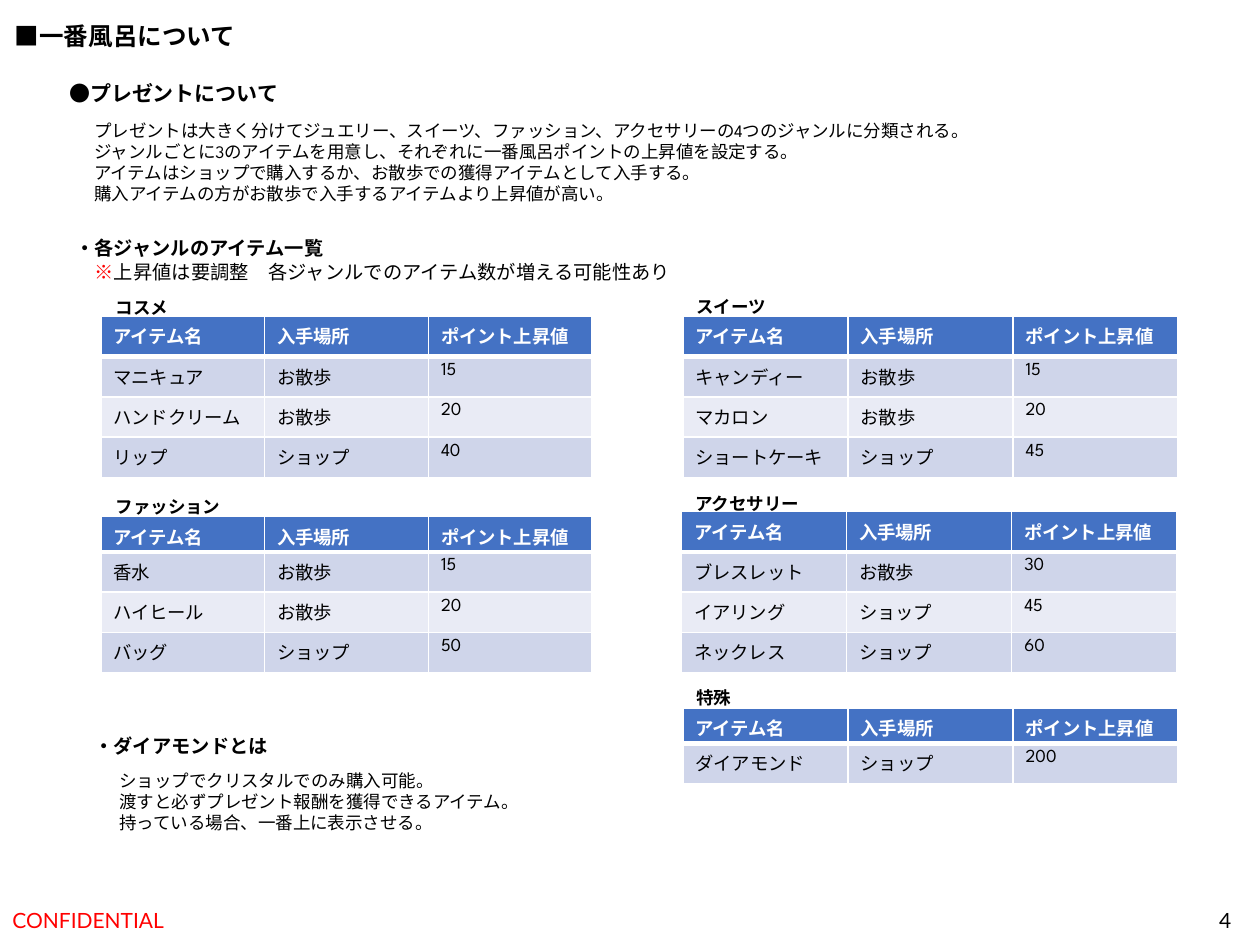
from lxml import etree
from pptx import Presentation
from pptx.dml.color import RGBColor
from pptx.enum.text import MSO_ANCHOR, MSO_AUTO_SIZE, PP_ALIGN
from pptx.oxml.ns import qn
from pptx.util import Inches, Pt

MIDDLE = MSO_ANCHOR.MIDDLE
GROW = MSO_AUTO_SIZE.SHAPE_TO_FIT_TEXT
FIXED = MSO_AUTO_SIZE.NONE
RIGHT = PP_ALIGN.RIGHT

FONT = "League Spartan"
BLACK, WHITE, RED = "000000", "FFFFFF", "FF0000"
HEAD, BANDS = "4472C4", ("CFD5EA", "E9EBF5")
ROW = 0.32
TITLES = ("アイテム名", "入手場所", "ポイント上昇値")
WALK, SHOP = "お散歩", "ショップ"

LISTS = [
    ("コスメ", (0.82, 2.31), (0.8, 2.51), 1.3, ROW,
     [("マニキュア", WALK, 15), ("ハンドクリーム", WALK, 20), ("リップ", SHOP, 40)]),
    ("ファッション", (0.82, 3.89), (0.8, 4.1), 1.3, 0.28,
     [("香水", WALK, 15), ("ハイヒール", WALK, 20), ("バッグ", SHOP, 50)]),
    ("スイーツ", (5.43, 2.3), (5.42, 2.51), 1.31, ROW,
     [("キャンディー", WALK, 15), ("マカロン", WALK, 20), ("ショートケーキ", SHOP, 45)]),
    ("アクセサリー", (5.42, 3.86), (5.41, 4.06), 1.31, ROW,
     [("ブレスレット", WALK, 30), ("イアリング", SHOP, 45), ("ネックレス", SHOP, 60)]),
    ("特殊", (5.43, 5.4), (5.42, 5.62), 1.31, 0.28,
     [("ダイアモンド", SHOP, 200)]),
]

ABOUT = [
    "プレゼントは大きく分けてジュエリー、スイーツ、ファッション、アクセサリーの4つのジャンルに分類される。",
    "ジャンルごとに3のアイテムを用意し、それぞれに一番風呂ポイントの上昇値を設定する。",
    "アイテムはショップで購入するか、お散歩での獲得アイテムとして入手する。",
    "購入アイテムの方がお散歩で入手するアイテムより上昇値が高い。",
]
DIAMOND = [
    "ショップでクリスタルでのみ購入可能。",
    "渡すと必ずプレゼント報酬を獲得できるアイテム。",
    "持っている場合、一番上に表示させる。",
]
NOTE = [("\u3000", BLACK), ("※", RED),
        ("上昇値は要調整　各ジャンルでのアイテム数が増える可能性あり", BLACK)]
NOTE[0] = ("　", BLACK)


def rgb(code):
    """Turn a hex string into a colour."""
    return RGBColor.from_string(code)


def style(run, size, color=BLACK, bold=False, face=FONT):
    """Format one run."""
    font = run.font
    font.name, font.size, font.bold = face, Pt(size), bold
    font.color.rgb = rgb(color)


def add_text(slide, box, lines, size, color=BLACK, bold=False, face=FONT, wrap=True, fit=GROW):
    """Add a text box with one paragraph per line and return its frame."""
    frame = slide.shapes.add_textbox(*map(Inches, box)).text_frame
    frame.text = "\n".join(lines)
    frame.word_wrap, frame.auto_size = wrap, fit
    for para in frame.paragraphs:
        for run in para.runs:
            style(run, size, color, bold, face)
    return frame


def add_note(frame, parts, size):
    """Append a paragraph of coloured runs."""
    para = frame.add_paragraph()
    for text, color in parts:
        run = para.add_run()
        run.text = text
        style(run, size, color)


def add_edges(cell, base):
    """Draw white cell borders, with the given bottom width."""
    props = cell._tc.get_or_add_tcPr()
    for spot, (side, width) in enumerate((("L", 1), ("R", 1), ("T", 1), ("B", base))):
        line = etree.Element(qn(f"a:ln{side}"), w=str(Pt(width)))
        fill = etree.SubElement(line, qn("a:solidFill"))
        etree.SubElement(fill, qn("a:srgbClr"), val=WHITE)
        props.insert(spot, line)


def add_table(slide, left, top, width, head, items):
    """Add an item table with a header and banded rows."""
    rows = [TITLES, *items]
    high = head + ROW * len(items)
    table = slide.shapes.add_table(
        len(rows), len(TITLES), Inches(left), Inches(top),
        Inches(width * len(TITLES)), Inches(high)).table
    for col in table.columns:
        col.width = Inches(width)
    for r, row in enumerate(rows):
        first = r == 0
        table.rows[r].height = Inches(head if first else ROW)
        for c, value in enumerate(row):
            cell = table.cell(r, c)
            cell.text = str(value)
            style(cell.text_frame.paragraphs[0].runs[0], 10.5,
                  WHITE if first else BLACK, first)
            cell.fill.solid()
            cell.fill.fore_color.rgb = rgb(HEAD if first else BANDS[(r - 1) % 2])
            add_edges(cell, 3 if first else 1)


def add_foot(slide, box, text, color):
    """Add a footer text and return its frame."""
    frame = add_text(slide, box, [text], 12, color, face="Lato", fit=FIXED)
    frame.vertical_anchor = MIDDLE
    return frame


def main():
    """Build the slide and save it."""
    deck = Presentation()
    deck.slide_width, deck.slide_height = Inches(10), Inches(7.5)
    slide = deck.slides.add_slide(deck.slide_layouts[6])

    add_text(slide, (0.02, 0.12, 1.97, 0.34), ["■一番風呂について"], 14,
             bold=True, face="Arial", wrap=False)
    add_text(slide, (0.45, 0.59, 1.88, 0.3), ["●プレゼントについて"], 12,
             bold=True, wrap=False)
    add_text(slide, (0.65, 0.9, 7.27, 0.77), ABOUT, 10)
    frame = add_text(slide, (0.5, 1.83, 5.73, 0.47), ["・各ジャンルのアイテム一覧　"], 11, bold=True)
    add_note(frame, NOTE, 11)

    for name, label, place, width, head, items in LISTS:
        add_table(slide, *place, width, head, items)
        add_text(slide, (*label, 1.2, 0.27), [name], 10, bold=True)

    add_text(slide, (0.65, 5.78, 3.99, 0.29), ["・ダイアモンドとは"], 11, bold=True)
    add_text(slide, (0.85, 6.06, 3.78, 0.61), DIAMOND, 10)
    add_foot(slide, (0, 7.1, 3.38, 0.4), "CONFIDENTIAL", RED)
    page = add_foot(slide, (7.62, 7.1, 2.25, 0.4), "4", BLACK)
    page.paragraphs[0].alignment = RIGHT
    deck.save("out.pptx")


if __name__ == "__main__":
    main()
